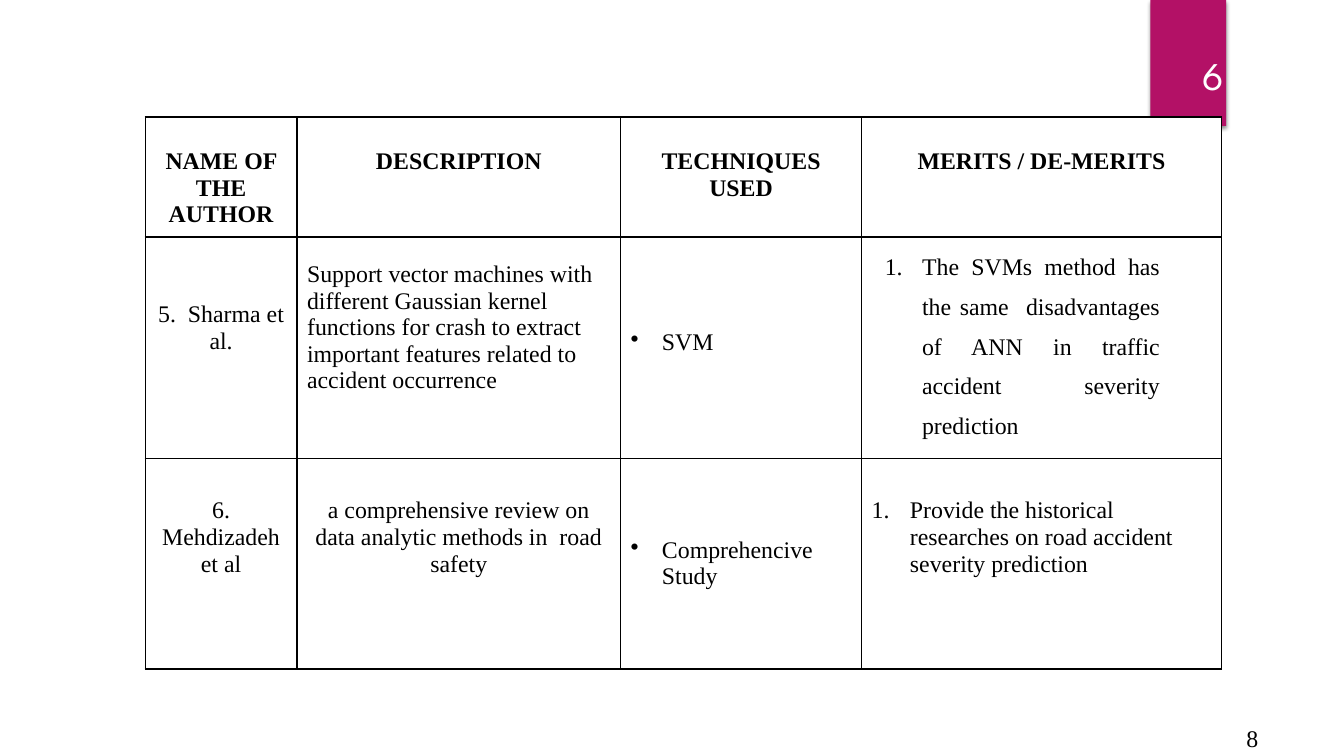
from dataclasses import dataclass
from lxml.etree import SubElement as Sub
from pptx import Presentation
from pptx.dml.color import RGBColor as Rgb
from pptx.enum.shapes import MSO_SHAPE as Kind
from pptx.enum.text import MSO_ANCHOR as Anchor, PP_ALIGN as Align
from pptx.oxml.ns import qn
from pptx.util import Emu, Inches, Pt

HEAD = ["NAME OF THE AUTHOR", "DESCRIPTION", "TECHNIQUES USED", "MERITS / DE-MERITS"]
BODY = [
    [
        ("5.  Sharma et al.", dict(top=0.64, align=Align.CENTER)),
        ("Support vector machines with different Gaussian kernel functions for crash "
         "to extract important features related to accident occurrence", dict(top=0.24)),
        ("SVM", dict(top=0.91, mark="•", left=0.31, hang=0.31)),
        ("The SVMs method has the same  disadvantages of ANN in traffic accident "
         "severity prediction",
         dict(top=0.04, right=0.61, align=Align.JUSTIFY, mark="1.", left=0.5, hang=0.37, space=1.5)),
    ],
    [
        ("6. Mehdizadeh et al", dict(top=0.39, align=Align.CENTER)),
        ("a comprehensive review on data analytic methods in  road safety",
         dict(top=0.39, align=Align.CENTER)),
        ("Comprehencive Study", dict(top=0.78, mark="•", left=0.31, hang=0.31)),
        ("Provide the historical researches on road accident severity prediction",
         dict(top=0.39, mark="1.", left=0.38, hang=0.38)),
    ],
]
TAG, TAB = "6", "8"

WIDE, HIGH = 13.33, 7.5
RIBBON = (85.6, 0, 5.63, 16.67)
TAG_BOX = (84.92, 4.27, 6.9, 11.2)
TAB_BOX = (71.87, 94.93, 22.5, 5.33)
GRID = (10.8, 15.47)
COLS = [11.3, 24.08, 17.93, 26.78]
ROWS = [15.33, 27.6, 27.87]


@dataclass
class Theme:
    pink: str = "B31166"
    ink: str = "000000"
    paper: str = "FFFFFF"
    face: str = "Times New Roman"
    round: str = "League Spartan"
    text: float = 17
    big: float = 28
    rule: float = 1


look = Theme()


def place(left, top, wide, high):
    return [Inches(share * side / 100)
            for share, side in zip((left, top, wide, high), (WIDE, HIGH) * 2)]


def write(frame, text, size=look.text, face=look.face, color=look.ink, bold=False,
          align=Align.LEFT, mark=None, left=0, hang=0, space=1):
    frame.word_wrap = True
    para = frame.paragraphs[0]
    para.alignment = align
    para.line_spacing = space
    if mark:
        props = para._p.get_or_add_pPr()
        props.set("marL", str(Inches(left)))
        props.set("indent", str(-Inches(hang)))
        if mark == "1.":
            Sub(props, qn("a:buAutoNum"), type="arabicPeriod")
        else:
            Sub(props, qn("a:buChar"), char=mark)
    run = para.add_run()
    run.text = text
    font = run.font
    font.size, font.name, font.bold = Pt(size), face, bold
    font.color.rgb = Rgb.from_string(color)


def label(slide, area, text, **form):
    frame = slide.shapes.add_textbox(*place(*area)).text_frame
    frame.vertical_anchor = Anchor.MIDDLE
    write(frame, text, align=Align.RIGHT, **form)


def fill_cell(cell, text, top=0.05, right=0.1, **form):
    props = cell._tc.get_or_add_tcPr()
    for side in ("lnL", "lnR", "lnT", "lnB"):
        line = Sub(props, qn("a:" + side), w=str(Pt(look.rule)))
        Sub(Sub(line, qn("a:solidFill")), qn("a:srgbClr"), val=look.ink)
    cell.fill.solid()
    cell.fill.fore_color.rgb = Rgb.from_string(look.paper)
    cell.vertical_anchor = Anchor.TOP
    cell.margin_top, cell.margin_bottom = Inches(top), Inches(0.03)
    cell.margin_left, cell.margin_right = Inches(0.1), Inches(right)
    write(cell.text_frame, text, **form)


def draw_ribbon(slide):
    shape = slide.shapes.add_shape(Kind.RECTANGLE, *place(*RIBBON))
    shape.shadow.inherit = False
    shape.fill.solid()
    shape.fill.fore_color.rgb = Rgb.from_string(look.pink)
    shape.line.fill.background()
    glow = Sub(shape._element.spPr.find(qn("a:effectLst")), qn("a:outerShdw"),
               blurRad=str(Pt(3)), dist=str(Pt(2)), dir="5400000", rotWithShape="0")
    Sub(Sub(glow, qn("a:srgbClr"), val=look.ink), qn("a:alpha"), val="45000")


def draw_table(slide):
    area = place(*GRID, sum(COLS), sum(ROWS))
    table = slide.shapes.add_table(len(ROWS), len(COLS), *area).table
    table.first_row = table.horz_banding = False
    for col, share in zip(table.columns, COLS):
        col.width = Emu(Inches(share * WIDE / 100))
    for row, share in zip(table.rows, ROWS):
        row.height = Emu(Inches(share * HIGH / 100))
    head = [(text, dict(top=0.31, align=Align.CENTER, bold=True)) for text in HEAD]
    for row, line in zip(table.rows, [head] + BODY):
        for cell, (text, form) in zip(row.cells, line):
            fill_cell(cell, text, **form)


def main():
    deck = Presentation()
    deck.slide_width, deck.slide_height = Inches(WIDE), Inches(HIGH)
    slide = deck.slides.add_slide(deck.slide_layouts[6])
    draw_ribbon(slide)
    label(slide, TAG_BOX, TAG, size=look.big, face=look.round, color=look.paper)
    draw_table(slide)
    label(slide, TAB_BOX, TAB)
    deck.save("out.pptx")


if __name__ == "__main__":
    main()
